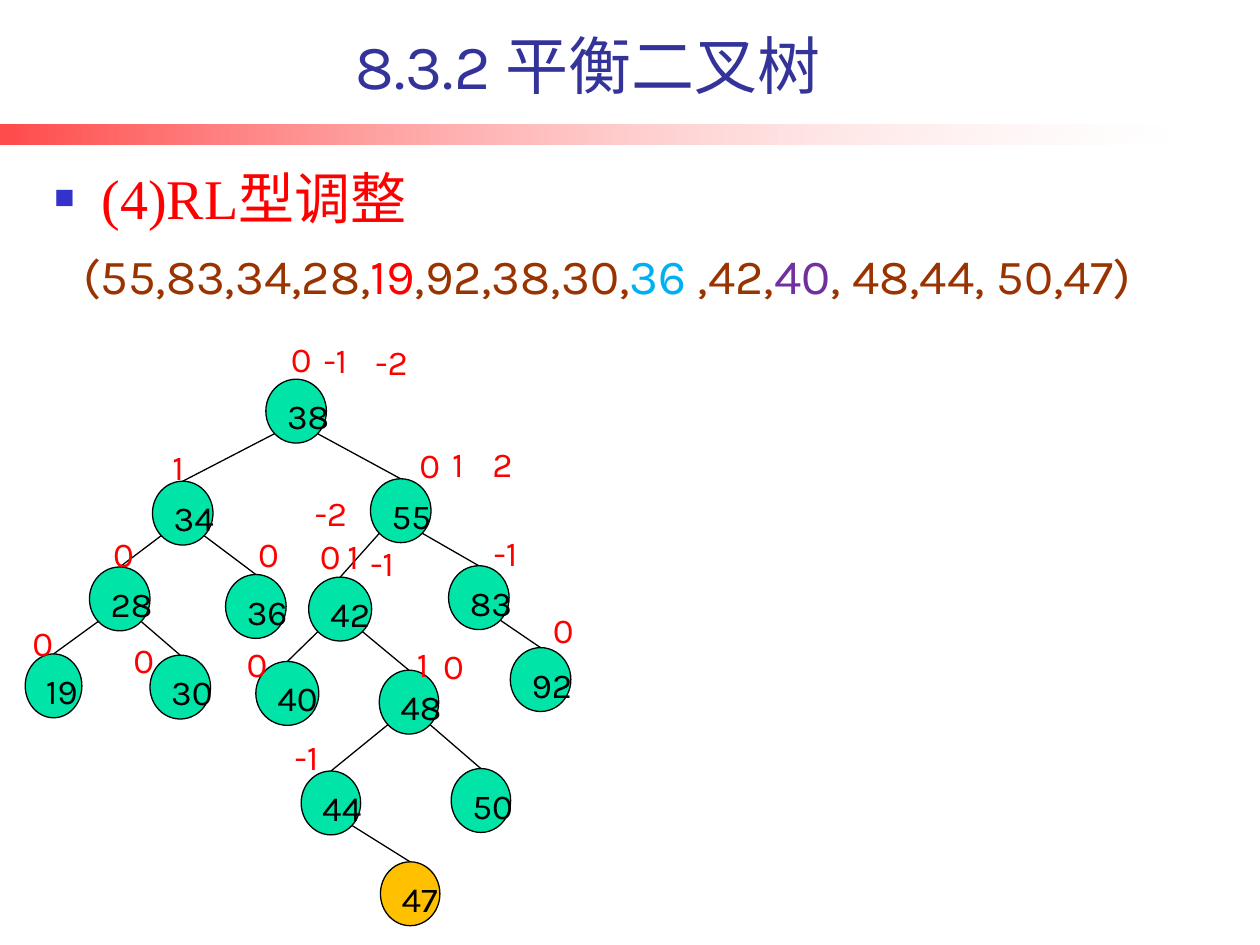
"""Build the slide on RL rotation in a balanced binary tree."""
import pptx
import pptx.util
import pptx.dml.color
import pptx.enum.shapes
import pptx.enum.text
import pptx.oxml
import pptx.oxml.ns

Pt = pptx.util.Pt
Color = pptx.dml.color.RGBColor
Shape = pptx.enum.shapes.MSO_SHAPE
Anchor = pptx.enum.text.MSO_ANCHOR
Align = pptx.enum.text.PP_ALIGN
qn = pptx.oxml.ns.qn

BLACK = Color(0, 0, 0)
WHITE = Color(255, 255, 255)
RED = Color(255, 0, 0)
NAVY = Color(0x33, 0x33, 0x99)
BROWN = Color(0x99, 0x33, 0x00)
BLUE = Color(0x00, 0xB0, 0xF0)
PURPLE = Color(0x70, 0x30, 0xA0)
GREEN = Color(0x00, 0xE4, 0xA8)
GOLD = Color(0xFF, 0xC0, 0x00)
KARLA = "Karla"
TIMES = "Times New Roman"
HIGH = 36.5

NODES = {
    "38": (151.9, 216.7, 34.6), "34": (87.1, 275, 34.6),
    "55": (211.7, 273.6, 34.6), "28": (51.1, 324, 34.6),
    "36": (128.9, 328.3, 34.6), "42": (176.4, 329.8, 36),
    "83": (256.3, 323.3, 34.6), "19": (14.4, 373.7, 32.4),
    "30": (85.7, 374.4, 34.6), "40": (146.2, 378, 36),
    "48": (216.7, 383, 34), "92": (291.6, 370.1, 34.6),
    "44": (172.1, 440.6, 34), "50": (257.8, 439.2, 34),
    "47": (217.4, 492.5, 34),
}
KIDS = {
    "38": ("34", "55"), "34": ("28", "36"), "55": ("42", "83"),
    "28": ("19", "30"), "42": ("40", "48"), "83": ("92",),
    "48": ("44", "50"), "44": ("47",),
}
MARKS = [
    ("0", 159.1, 189.4), ("-1", 177.8, 190.1), ("-2", 207.4, 190.8),
    ("1", 91.4, 251.3), ("0", 232.6, 249.8), ("1", 251.3, 249.1),
    ("2", 274.3, 249.1), ("-2", 172.8, 277.2), ("0", 57.6, 301),
    ("0", 140.4, 301), ("0", 175.7, 301.7), ("1", 191.5, 301.7),
    ("-1", 204.5, 306), ("-1", 275, 300.2), ("0", 308.9, 344.2),
    ("0", 11.5, 351.4), ("0", 69.1, 361.4), ("0", 133.9, 363.6),
    ("1", 231.1, 363.6), ("0", 246.2, 365), ("-1", 161.3, 416.9),
]


def write(para, text, size, color, face=KARLA):
    """Add one formatted run to a paragraph."""
    run = para.add_run()
    run.text = text
    run.font.size = Pt(size)
    run.font.name = face
    run.font.color.rgb = color


def place(holder, box, anchor):
    """Move a placeholder and return its first paragraph."""
    holder.left, holder.top, holder.width, holder.height = map(Pt, box)
    frame = holder.text_frame
    frame.word_wrap = True
    frame.auto_size = pptx.enum.text.MSO_AUTO_SIZE.NONE
    frame.vertical_anchor = anchor
    para = frame.paragraphs[0]
    para.space_before = Pt(0)
    return para


def bullet(para, indent, *parts):
    """Set the hanging indent and bullet parts of a paragraph."""
    props = para._p.get_or_add_pPr()
    props.set("marL", str(Pt(indent)))
    props.set("indent", str(-Pt(indent)))
    space = pptx.oxml.ns.nsdecls("a")
    for tag, body in parts:
        props.append(pptx.oxml.parse_xml(f"<a:{tag} {space} {body}"))


def add_bar(slide):
    """Draw the fading red bar below the title."""
    bar = slide.shapes.add_shape(Shape.RECTANGLE, Pt(0), Pt(71.3), Pt(669), Pt(11.5))
    bar.shadow.inherit = False
    bar.line.fill.background()
    bar.fill.gradient()
    bar.fill.gradient_angle = 0
    looks = ((0, RED, 71), (1, WHITE, 18))
    for stop, (where, color, alpha) in zip(bar.fill.gradient_stops, looks):
        stop.position = where
        stop.color.rgb = color
    for tint, look in zip(bar._element.spPr.iter(qn("a:srgbClr")), looks):
        alpha = pptx.oxml.parse_xml(
            f'<a:alpha {pptx.oxml.ns.nsdecls("a")} val="{look[2] * 1000}"/>')
        tint.append(alpha)


def add_edge(slide, top, kid):
    """Link the lower side of a node to the top of its child."""
    left, high, width = NODES[top]
    end, base, span = NODES[kid]
    start, end = left + width / 2, end + span / 2
    start += 0.35 * width * (1 if end > start else -1)
    edge = slide.shapes.add_connector(
        pptx.enum.shapes.MSO_CONNECTOR.STRAIGHT,
        Pt(start), Pt(high + 0.85 * HIGH), Pt(end), Pt(base))
    edge.line.color.rgb = BLACK
    edge.line.width = Pt(0.75)
    edge._element.spPr.append(
        pptx.oxml.parse_xml(f'<a:effectLst {pptx.oxml.ns.nsdecls("a")}/>'))


def add_node(slide, key):
    """Draw one tree node with its key."""
    left, top, width = NODES[key]
    node = slide.shapes.add_shape(Shape.OVAL, Pt(left), Pt(top), Pt(width), Pt(HIGH))
    node.shadow.inherit = False
    node.fill.solid()
    node.fill.fore_color.rgb = GOLD if key == "47" else GREEN
    node.line.color.rgb = BLACK
    node.line.width = Pt(0.75)
    frame = node.text_frame
    frame.word_wrap = False
    frame.vertical_anchor = Anchor.TOP
    para = frame.paragraphs[0]
    para.alignment = Align.LEFT
    write(para, key, 20, BLACK)


def add_mark(slide, text, left, top):
    """Write one balance factor."""
    width = 20 if len(text) == 1 else 34.6
    box = slide.shapes.add_textbox(Pt(left), Pt(top), Pt(width), Pt(31.7))
    box.text_frame.word_wrap = True
    write(box.text_frame.paragraphs[0], text, 20, RED)


def main():
    """Build and save the slide."""
    deck = pptx.Presentation()
    deck.slide_width, deck.slide_height = Pt(720), Pt(540)
    slide = deck.slides.add_slide(deck.slide_layouts[3])
    title, head, keys = slide.placeholders

    add_bar(slide)
    para = place(title, (29.5, 10.8, 613.4, 51.1), Anchor.BOTTOM)
    para.alignment = Align.CENTER
    write(para, "8.3.2 平衡二叉树", 36, NAVY)

    para = place(head, (23.8, 89.3, 234, 46.1), Anchor.BOTTOM)
    bullet(para, 27, ("buClr", '><a:srgbClr val="3333CC"/></a:buClr>'),
           ("buSzPct", 'val="60000"/>'), ("buChar", 'char="■"/>'))
    write(para, "(4)RL型调整", 32, RED, TIMES)

    para = place(keys, (40.3, 136.8, 653.8, 49.7), Anchor.TOP)
    bullet(para, 0, ("buNone", "/>"))
    for text, color in (("(55,83,34,28,", BROWN), ("19", RED), (",92,38,30,", BROWN),
                        ("36", BLUE), (" ,42,", BROWN), ("40", PURPLE),
                        (", 48,44, 50,47)", BROWN)):
        write(para, text, 28, color)

    for top, kids in KIDS.items():
        for kid in kids:
            add_edge(slide, top, kid)
    for key in NODES:
        add_node(slide, key)
    for mark in MARKS:
        add_mark(slide, *mark)
    deck.save("out.pptx")


if __name__ == "__main__":
    main()
